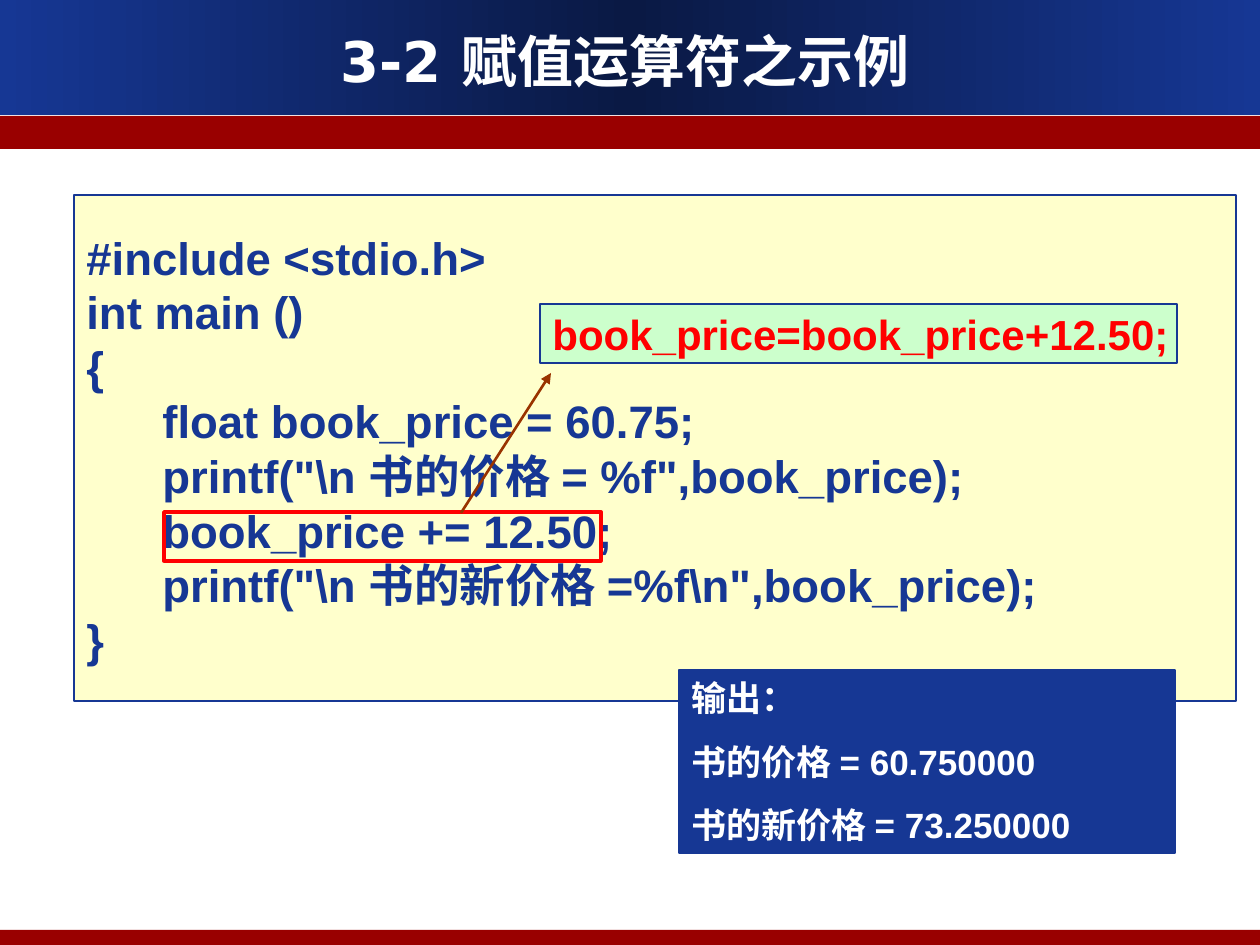
from copy import deepcopy

from lxml import etree
from pptx import Presentation
from pptx.dml.color import RGBColor
from pptx.enum.shapes import MSO_CONNECTOR, MSO_SHAPE
from pptx.enum.text import MSO_ANCHOR, MSO_AUTO_SIZE, PP_ALIGN
from pptx.oxml.ns import qn
from pptx.util import Pt

PX = 914400 // 126
WIDTH, HEIGHT = 1260, 945

RECTANGLE = MSO_SHAPE.RECTANGLE
STRAIGHT = MSO_CONNECTOR.STRAIGHT
TOP, MIDDLE = MSO_ANCHOR.TOP, MSO_ANCHOR.MIDDLE
LEFT, CENTER = PP_ALIGN.LEFT, PP_ALIGN.CENTER
NO_FIT = MSO_AUTO_SIZE.NONE

BLUE = RGBColor(0x16, 0x37, 0x94)
NAVY = RGBColor(0x0A, 0x19, 0x44)
DARK_RED = RGBColor(0x99, 0x00, 0x00)
RED = RGBColor(0xFF, 0x00, 0x00)
BROWN = RGBColor(0x99, 0x33, 0x00)
CREAM = RGBColor(0xFF, 0xFF, 0xCC)
MINT = RGBColor(0xCC, 0xFF, 0xCC)
WHITE = RGBColor(0xFF, 0xFF, 0xFF)

CODE_INDENT = 76
CODE = [
    (0, "#include <stdio.h>"),
    (0, "int main ()"),
    (0, "{"),
    (1, "float book_price = 60.75;"),
    (1, 'printf("\\n 书的价格 = %f",book_price);'),
    (1, "book_price += 12.50;"),
    (1, 'printf("\\n 书的新价格 =%f\\n",book_price);'),
    (0, "}"),
]
OUTPUT = [(0, "输出："), (0, "书的价格 = 60.750000"), (0, "书的新价格 = 73.250000")]


def write(shape, lines, size, color, font="Arial", align=LEFT, anchor=MIDDLE,
          wrap=True, before=0, spacing=None):
    """Fill a shape with (indent level, text) lines in one format."""
    frame = shape.text_frame
    frame.auto_size = NO_FIT
    frame.word_wrap = wrap
    frame.vertical_anchor = anchor
    for index, (level, text) in enumerate(lines):
        para = frame.add_paragraph() if index else frame.paragraphs[0]
        para.alignment = align
        para.space_before = Pt(before)
        if spacing:
            para.line_spacing = Pt(spacing)
        if level:
            properties = para._p.get_or_add_pPr()
            properties.set("marL", str(level * CODE_INDENT * PX))
            properties.set("indent", "0")
        span = para.add_run()
        span.text = text
        span.font.name = font
        span.font.size = Pt(size)
        span.font.bold = True
        span.font.color.rgb = color


class SlideBuilder:
    def __init__(self, page):
        self.page = page

    def box(self, x, y, width, height, fill=None, line=None, weight=0.75):
        box = self.page.shapes.add_shape(
            RECTANGLE, x * PX, y * PX, width * PX, height * PX)
        box.shadow.inherit = False
        if fill is None:
            box.fill.background()
        else:
            box.fill.solid()
            box.fill.fore_color.rgb = fill
        if line is None:
            box.line.fill.background()
        else:
            box.line.color.rgb = line
            box.line.width = Pt(weight)
        return box

    def gradient_band(self, x, y, width, height, edge, middle):
        band = self.box(x, y, width, height, edge)
        band.fill.gradient()
        band.fill.gradient_angle = 180
        stop_list = band._element.spPr.find(".//" + qn("a:gsLst"))
        stop_list.append(deepcopy(stop_list[-1]))
        for stop, color, position in zip(
                band.fill.gradient_stops, (edge, middle, edge), (0, 0.5, 1)):
            stop.color.rgb = color
            stop.position = position

    def title(self, x, y, width, height, text):
        title = self.page.shapes.title
        title.left, title.top = x * PX, y * PX
        title.width, title.height = width * PX, height * PX
        write(title, [(0, text)], 32, WHITE, font="DejaVu Sans", align=CENTER)
        # Bring the title in front of the header bands
        title._element.getparent().append(title._element)

    def arrow(self, x1, y1, x2, y2, color):
        arrow = self.page.shapes.add_connector(
            STRAIGHT, x1 * PX, y1 * PX, x2 * PX, y2 * PX)
        arrow.line.color.rgb = color
        arrow.line.width = Pt(1.5)
        line = arrow.line._get_or_add_ln()
        etree.SubElement(line, qn("a:tailEnd"), type="triangle")
        etree.SubElement(arrow._element.spPr, qn("a:effectLst"))


def main():
    deck = Presentation()
    deck.slide_width, deck.slide_height = WIDTH * PX, HEIGHT * PX
    page = deck.slides.add_slide(deck.slide_layouts[5])
    builder = SlideBuilder(page)

    # Header and footer bands
    builder.gradient_band(0, 0, WIDTH, 115, BLUE, NAVY)
    builder.box(0, 116, WIDTH, 33, DARK_RED)
    builder.box(0, 930, WIDTH, 15, DARK_RED)
    builder.title(42, 20, 1166, 80, "3-2 赋值运算符之示例")

    # Program listing
    listing = builder.box(74, 195, 1162, 506, CREAM, BLUE)
    write(listing, CODE, 26, BLUE, spacing=31.2)

    # Expanded form of the assignment, and the statement it explains
    callout = builder.box(540, 304, 637, 59, MINT, BLUE)
    write(callout, [(0, "book_price=book_price+12.50;")], 24, RED, wrap=False)
    builder.box(164, 512, 437, 49, line=RED, weight=2)
    builder.arrow(461, 513, 551, 373, BROWN)

    # Program output
    output = builder.box(679, 670, 496, 183, BLUE, BLUE)
    write(output, OUTPUT, 20, WHITE, anchor=TOP, before=12.5)

    deck.save("out.pptx")


if __name__ == "__main__":
    main()
